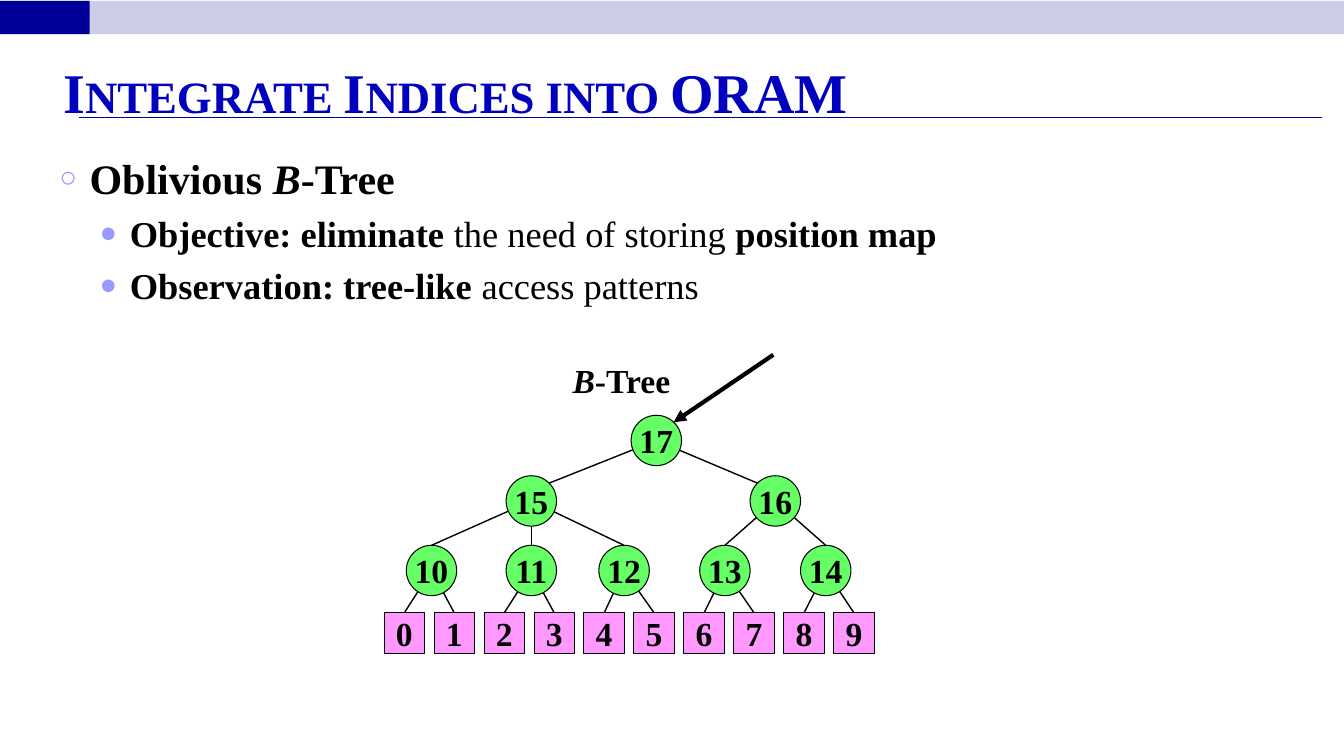
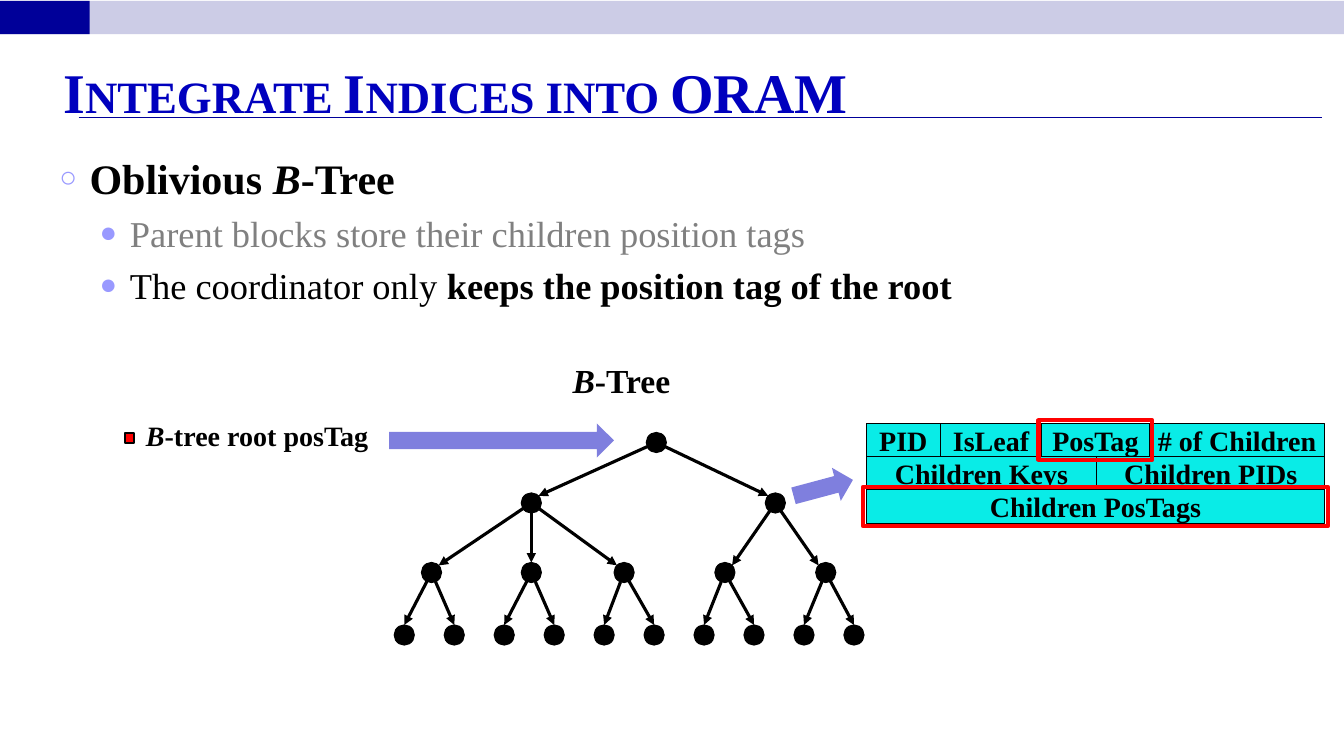
import math

import lxml.etree
import pptx
import pptx.dml.color
import pptx.enum.shapes
import pptx.enum.text
import pptx.oxml.ns
import pptx.util

Inches = pptx.util.Inches
Pt = pptx.util.Pt
RGBColor = pptx.dml.color.RGBColor
SHAPE = pptx.enum.shapes.MSO_SHAPE
CENTER = pptx.enum.text.PP_ALIGN.CENTER
MIDDLE = pptx.enum.text.MSO_ANCHOR.MIDDLE

FONT = "Times New Roman"
BLACK = RGBColor(0x00, 0x00, 0x00)
GRAY = RGBColor(0x80, 0x80, 0x80)
NAVY = RGBColor(0x00, 0x00, 0x99)
BLUE = RGBColor(0x00, 0x00, 0xBE)
LAVENDER = RGBColor(0xCC, 0xCC, 0xE6)
BULLET = RGBColor(0x99, 0x99, 0xFF)
GREEN = RGBColor(0x66, 0xFF, 0x66)
PINK = RGBColor(0xFF, 0x99, 0xFF)
CYAN = RGBColor(0x09, 0xEC, 0xE7)
RED = RGBColor(0xFF, 0x00, 0x00)

TITLE = "Integrate Indices into ORAM"
BOLD = {"bold": True}
ITALIC = {"bold": True, "italic": True}
HEADING = [("Oblivious ", BOLD), ("B", ITALIC), ("-Tree", BOLD)]

LEVELS = [
    (0.25, [2.7]),
    (0.85, [1.46, 3.88]),
    (1.54, [0.47, 1.46, 2.38, 3.38, 4.38]),
    (2.16, [0.2 + 4.46 * i / 9 for i in range(10)]),
]
PARENTS = [[], [0, 0], [0, 0, 0, 1, 1], [i // 2 for i in range(10)]]
LABELS = [["17"], ["15", "16"], ["10", "11", "12", "13", "14"],
          [str(i) for i in range(10)]]

RECORD = [
    [("PID", 0.74), ("IsLeaf", 1.0), ("PosTag", 1.07), ("# of Children", 1.74)],
    [("Children Keys", 2.29), ("Children PIDs", 2.26)],
    [("Children PosTags", 4.55)],
]
MARKED = ("PosTag", "Children PosTags")


def add_xml(parent, tag, **attrs):
    return lxml.etree.SubElement(parent, pptx.oxml.ns.qn(tag), attrs)


def add_run(p, text, size=24, color=BLACK, bold=False, italic=False, small_caps=False):
    r = p.add_run()
    r.text = text
    r.font.name = FONT
    r.font.size = Pt(size)
    r.font.color.rgb = color
    r.font.bold = bold
    r.font.italic = italic
    if small_caps:
        r.font._element.set("cap", "small")


def add_box(slide, left, top, width, height, kind=SHAPE.RECTANGLE,
            fill=None, line=None, weight=0.75):
    sp = slide.shapes.add_shape(
        kind, Inches(left), Inches(top), Inches(width), Inches(height))
    sp.shadow.inherit = False
    if fill is None:
        sp.fill.background()
    else:
        sp.fill.solid()
        sp.fill.fore_color.rgb = fill
    if line is None:
        sp.line.fill.background()
    else:
        sp.line.color.rgb = line
        sp.line.width = Pt(weight)
    return sp


def add_label(sp, text, size):
    tf = sp.text_frame
    tf.margin_left = tf.margin_right = tf.margin_top = tf.margin_bottom = 0
    tf.word_wrap = False
    tf.vertical_anchor = MIDDLE
    p = tf.paragraphs[0]
    p.alignment = CENTER
    add_run(p, text, size=size, bold=True)


def add_text(slide, left, top, width, height, runs, size, align=None):
    tf = slide.shapes.add_textbox(
        Inches(left), Inches(top), Inches(width), Inches(height)).text_frame
    tf.word_wrap = True
    p = tf.paragraphs[0]
    p.alignment = align
    for text, style in runs:
        add_run(p, text, size=size, **style)
    return tf


def add_line(slide, start, end, color=BLACK, weight=1, arrow=False):
    cxn = slide.shapes.add_connector(
        pptx.enum.shapes.MSO_CONNECTOR.STRAIGHT,
        *(Inches(v) for v in (*start, *end)))
    cxn.line.color.rgb = color
    cxn.line.width = Pt(weight)
    spPr = cxn.element.spPr
    if arrow:
        add_xml(spPr.find(pptx.oxml.ns.qn("a:ln")), "a:tailEnd", type="triangle")
    add_xml(spPr, "a:effectLst")


def add_bullet(p, char, percent, indent):
    p.space_before = Pt(6)
    pPr = p._p.get_or_add_pPr()
    pPr.set("marL", str(Inches(indent)))
    pPr.set("indent", str(-Inches(0.3)))
    add_xml(add_xml(pPr, "a:buClr"), "a:srgbClr", val=str(BULLET))
    add_xml(pPr, "a:buSzPct", val=str(percent * 1000))
    add_xml(pPr, "a:buFont", typeface=FONT)
    add_xml(pPr, "a:buChar", char=char)


def add_frame(prs):
    slide = prs.slides.add_slide(prs.slide_layouts[6])
    add_box(slide, 0, 0.01, 13.33, 0.33, fill=LAVENDER)
    add_box(slide, 0, 0.01, 0.89, 0.33, fill=NAVY)
    add_line(slide, (0.78, 1.17), (13.11, 1.17), color=NAVY, weight=0.75)
    add_text(slide, 0.53, 0.52, 12.25, 0.74,
             [(TITLE, {"bold": True, "color": BLUE, "small_caps": True})], 40)
    return slide


def add_body(slide, left, top, points):
    tf = add_text(slide, left, top, 11.97, 5.48, HEADING, 30)
    add_bullet(tf.paragraphs[0], "○", 70, 0.3)
    for runs in points:
        p = tf.add_paragraph()
        p.level = 1
        add_bullet(p, "●", 80, 0.7)
        for text, style in runs:
            add_run(p, text, size=26, **style)


def edge_points(parent, child, radius, rise, steep):
    (px, py), (cx, cy) = parent, child
    if abs(cx - px) > steep * (cy - py):
        shift = radius * math.sqrt(0.5)
        end = (cx + math.copysign(shift, px - cx), cy - shift)
    else:
        end = (cx, cy - rise)
    angle = math.atan2(end[1] - py, end[0] - px)
    start = (px + radius * math.cos(angle), py + radius * math.sin(angle))
    return start, end


def add_tree(slide, left, top, radius, leaf_radius, fill, leaf_fill, leaf_kind,
             steep, labels=None, weight=1, arrow=False):
    levels = [[(left + x, top + y) for x in xs] for y, xs in LEVELS]
    for depth in range(1, len(levels)):
        rise = leaf_radius if depth == len(levels) - 1 else radius
        for child, parent in zip(levels[depth], PARENTS[depth]):
            start, end = edge_points(levels[depth - 1][parent], child,
                                     radius, rise, steep)
            add_line(slide, start, end, weight=weight, arrow=arrow)
    for depth, nodes in enumerate(levels):
        leaf = depth == len(levels) - 1
        half = leaf_radius if leaf else radius
        for i, (x, y) in enumerate(nodes):
            sp = add_box(slide, x - half, y - half, 2 * half, 2 * half,
                         kind=leaf_kind if leaf else SHAPE.OVAL,
                         fill=leaf_fill if leaf else fill, line=BLACK)
            if labels:
                add_label(sp, labels[depth][i], 24)
    add_text(slide, left + 1.77, 3.52, 1.25, 0.5, HEADING[1:], 24)


def add_record(slide, left, top):
    height, pad = 0.33, 0.03
    marks = []
    for row, cells in enumerate(RECORD):
        x, y = left, top + row * height
        for text, width in cells:
            sp = add_box(slide, x, y, width, height, fill=CYAN, line=BLACK)
            add_label(sp, text, 20)
            if text in MARKED:
                marks.append((x - pad, y - pad, width + 2 * pad, height + 2 * pad))
            x += width
    for box in marks:
        add_box(slide, *box, line=RED, weight=3)


def add_block_arrow(slide, left, top, width, height, rotation=0):
    sp = add_box(slide, left, top, width, height, kind=SHAPE.RIGHT_ARROW, fill=BLUE)
    sp.rotation = rotation
    color = sp.element.spPr.find(".//" + pptx.oxml.ns.qn("a:srgbClr"))
    add_xml(color, "a:alpha", val="50000")


def add_root_tag(slide, left, top):
    add_text(slide, left + 0.1, top, 2.42, 0.44,
             [("B", ITALIC), ("-tree root posTag", BOLD)], 20, align=CENTER)
    add_box(slide, left, top + 0.2, 0.09, 0.1, fill=RED, line=BLACK, weight=1.5)
    add_block_arrow(slide, left + 2.62, top + 0.1, 2.23, 0.34)


def objective_slide(prs):
    slide = add_frame(prs)
    add_body(slide, 0.49, 1.46, [
        [("Objective: eliminate", BOLD), (" the need of storing ", {}),
         ("position map", BOLD)],
        [("Observation: tree-like", BOLD), (" access patterns", {})],
    ])
    add_tree(slide, 3.81, 4.12, 0.25, 0.2, GREEN, PINK, SHAPE.RECTANGLE,
             steep=1.8, labels=LABELS)
    add_line(slide, (7.67, 3.52), (6.68, 4.19), weight=3, arrow=True)


def root_tag_slide(prs):
    slide = add_frame(prs)
    add_body(slide, 0.49, 1.46, [
        [("Parent blocks store their children position tags", {"color": GRAY})],
        [("The coordinator only ", {}),
         ("keeps the position tag of the root", BOLD)],
    ])
    add_tree(slide, 3.81, 4.14, 0.1, 0.1, BLACK, BLACK, SHAPE.OVAL,
             steep=0.6, weight=2.25, arrow=True)
    add_root_tag(slide, 1.24, 4.1)
    add_record(slide, 8.59, 4.2)
    add_block_arrow(slide, 7.86, 4.67, 0.61, 0.34, rotation=345)


def main():
    prs = pptx.Presentation()
    prs.slide_width = Inches(13.33)
    prs.slide_height = Inches(7.5)
    objective_slide(prs)
    root_tag_slide(prs)
    prs.save("out.pptx")


if __name__ == "__main__":
    main()
